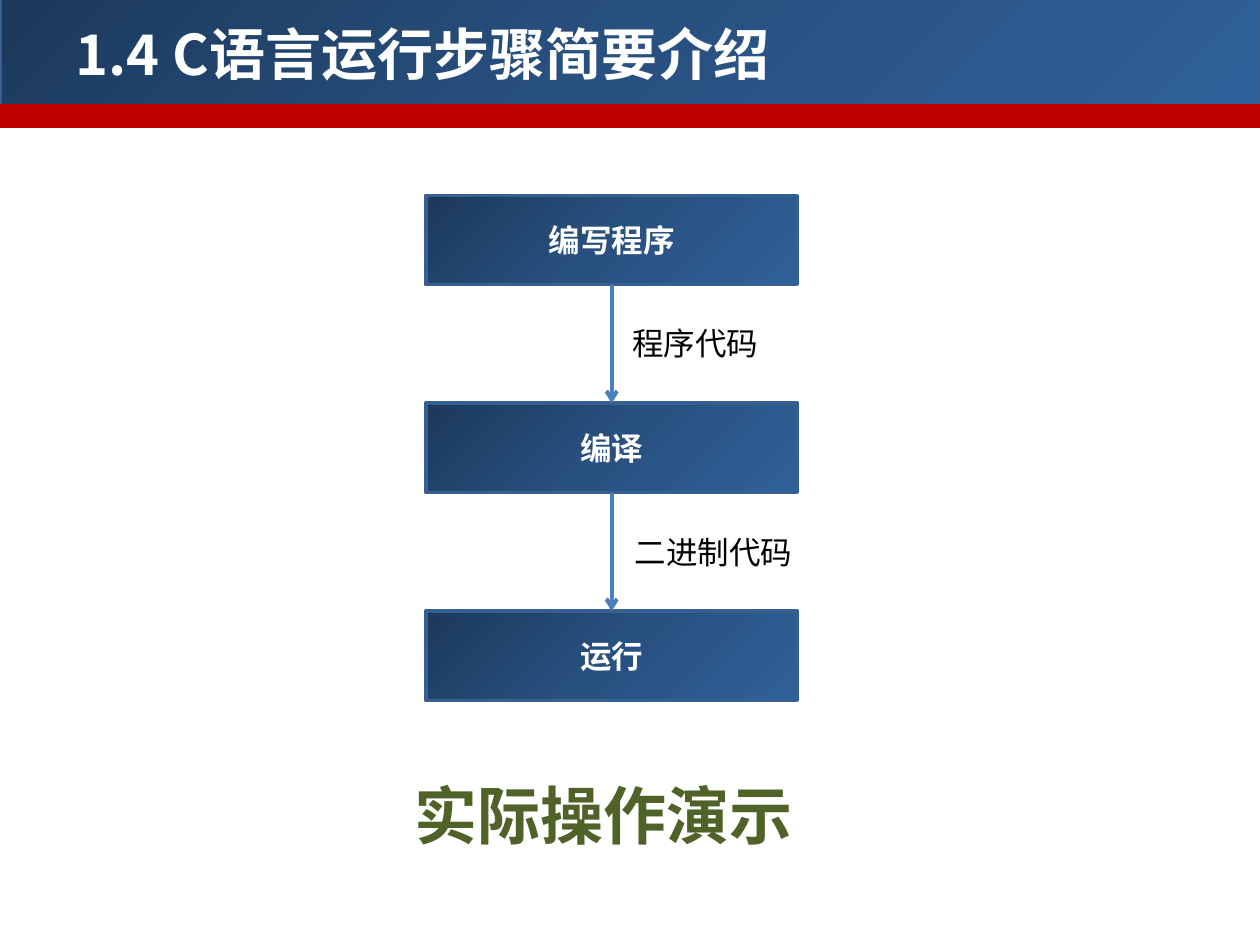
from copy import deepcopy
from itertools import pairwise

from lxml.etree import SubElement
from pptx import Presentation
from pptx.dml.color import RGBColor
from pptx.enum.shapes import MSO_CONNECTOR as Connector, MSO_SHAPE as Shape
from pptx.enum.text import MSO_ANCHOR as Anchor, PP_ALIGN as Align
from pptx.oxml.ns import qn
from pptx.util import Inches, Pt

WIDTH, HEIGHT = 10, 7.5
CJK_FONT = "Noto Sans CJK SC"
GRADIENT = [(0, "1C395B"), (0.5, "285181"), (1, "306099")]
BORDER, RED, ARROW = "376092", "C00000", "4B7EBC"
WHITE, GREEN, BLACK = "FFFFFF", "4F6228", "000000"

# Flow grid: one column of equal steps
STEP_LEFT, STEP_TOP, STEP_PITCH = 3.38, 1.55, 1.65
STEP_WIDTH, STEP_HEIGHT = 2.95, 0.71
STEPS = ["编写程序", "编译", "运行"]
# Text, left, top, width
LABELS = [("程序代码", 4.92, 2.52, 1.34), ("二进制代码", 4.94, 4.18, 1.68)]

TITLE_FORMAT = {"size": Pt(32), "bold": True, "name": CJK_FONT}
STEP_FORMAT = {"size": Pt(18), "bold": True, "name": CJK_FONT}
LABEL_FORMAT = {"size": Pt(18), "name": "Arial"}
DEMO_FORMAT = {"size": Pt(36), "bold": True, "name": CJK_FONT}


def paint(color_format, color):
    color_format.rgb = RGBColor.from_string(color)


def write(shape, text, formats, color, **frame_formats):
    """Put one formatted run into the shape's text frame."""
    frame = shape.text_frame
    for name, value in frame_formats.items():
        setattr(frame, name, value)
    paragraph = frame.paragraphs[0]
    run = paragraph.add_run()
    run.text = text
    for name, value in formats.items():
        setattr(run.font, name, value)
    paint(run.font.color, color)
    SubElement(run.font._element, qn("a:ea"), typeface=CJK_FONT)
    return paragraph


def fill_gradient(shape):
    """Three-stop blue gradient from top left to bottom right."""
    fill = shape.fill
    fill.gradient()
    fill.gradient_angle = 315
    stop_list = shape._element.spPr.find(qn("a:gradFill")).find(qn("a:gsLst"))
    stop_list.append(deepcopy(stop_list[0]))
    for stop, (position, color) in zip(fill.gradient_stops, GRADIENT):
        stop.position = position
        paint(stop.color, color)


def add_rectangle(slide, left, top, width, height, border, solid=None):
    shape = slide.shapes.add_shape(
        Shape.RECTANGLE, *map(Inches, (left, top, width, height)))
    shape.shadow.inherit = False
    if solid:
        shape.fill.solid()
        paint(shape.fill.fore_color, solid)
    else:
        fill_gradient(shape)
    paint(shape.line.color, border)
    shape.line.width = Pt(2)
    return shape


def add_text(slide, box, text, formats, color, **frame_formats):
    shape = slide.shapes.add_textbox(*map(Inches, box))
    write(shape, text, formats, color, **frame_formats)


def add_step(slide, row, text):
    step = add_rectangle(slide, STEP_LEFT, STEP_TOP + row * STEP_PITCH,
                         STEP_WIDTH, STEP_HEIGHT, BORDER)
    paragraph = write(step, text, STEP_FORMAT, WHITE,
                      vertical_anchor=Anchor.MIDDLE)
    paragraph.alignment = Align.CENTER
    return step


def add_arrow(slide, upper, lower):
    arrow = slide.shapes.add_connector(Connector.STRAIGHT, 0, 0, 0, 0)
    arrow.begin_connect(upper, 2)
    arrow.end_connect(lower, 0)
    paint(arrow.line.color, ARROW)
    arrow.line.width = Pt(2.25)
    SubElement(arrow.line._get_or_add_ln(), qn("a:tailEnd"), type="arrow")
    SubElement(arrow._element.spPr, qn("a:effectLst"))


def main():
    presentation = Presentation()
    presentation.slide_width = Inches(WIDTH)
    presentation.slide_height = Inches(HEIGHT)
    slide = presentation.slides.add_slide(presentation.slide_layouts[6])

    # Header band and title
    add_rectangle(slide, 0, -0.05, WIDTH, 0.9, BORDER)
    add_rectangle(slide, 0, 0.84, WIDTH, 0.16, RED, RED)
    add_text(slide, (0.5, 0.13, 9.22, 0.59), "1.4 C语言运行步骤简要介绍",
             TITLE_FORMAT, WHITE, word_wrap=True,
             vertical_anchor=Anchor.MIDDLE)

    # Steps joined by arrows
    steps = [add_step(slide, row, text) for row, text in enumerate(STEPS)]
    for upper, lower in pairwise(steps):
        add_arrow(slide, upper, lower)

    # What each step hands on
    for text, left, top, width in LABELS:
        add_text(slide, (left, top, width, 0.4), text, LABEL_FORMAT, BLACK,
                 word_wrap=True)

    # Closing line
    add_text(slide, (3.19, 6.11, 3.23, 0.71), "实际操作演示",
             DEMO_FORMAT, GREEN, word_wrap=False)

    presentation.save("out.pptx")


if __name__ == "__main__":
    main()
